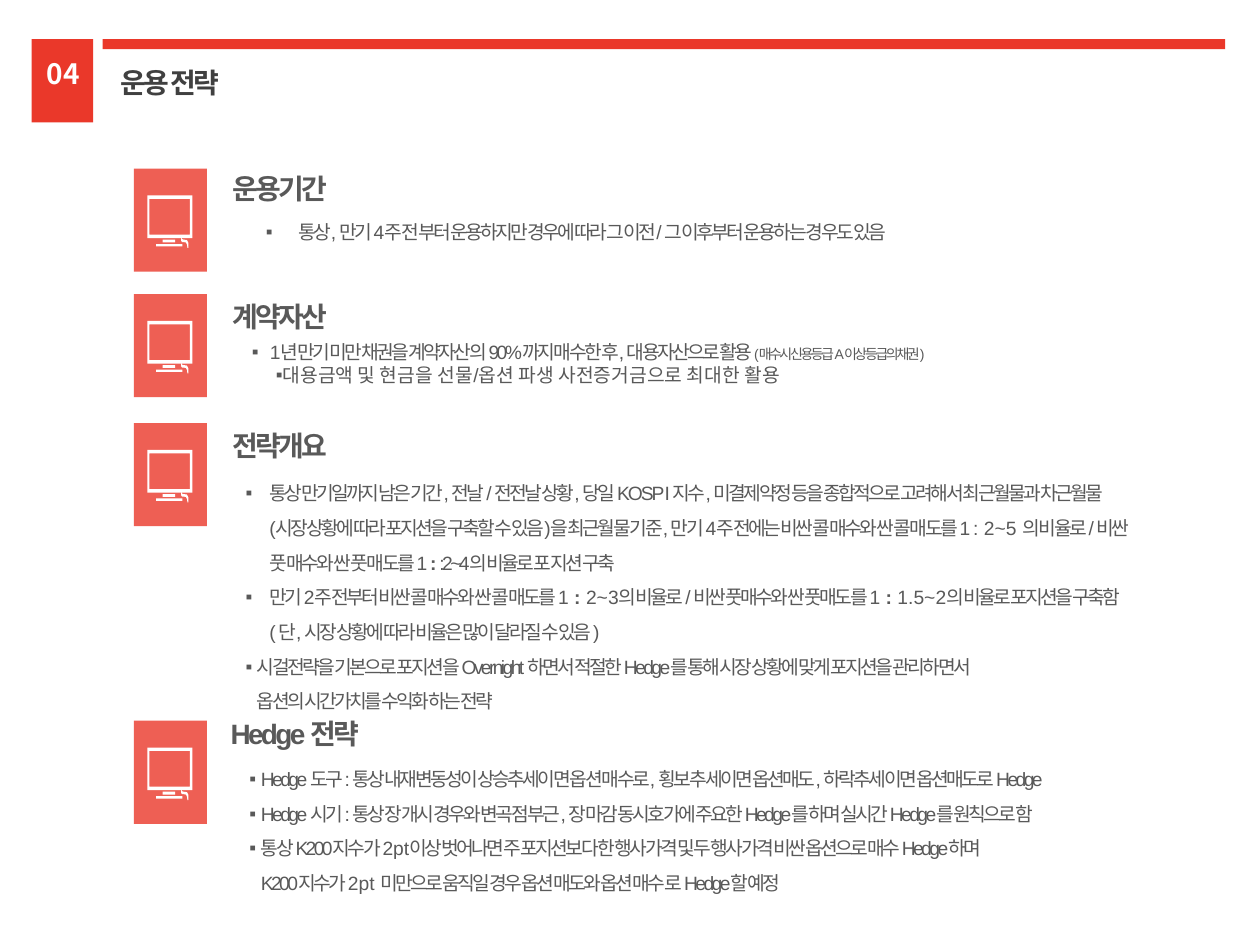
from lxml import etree
from pptx import Presentation
from pptx import util as u
from pptx.dml.color import RGBColor
from pptx.enum import shapes, text
from pptx.oxml.ns import qn

RED, TILE, WHITE, DARK, GRAY = "EA382A", "EE5F54", "FFFFFF", "404040", "595959"
KOREAN = "Noto Sans CJK KR"
CENTER = text.PP_ALIGN.CENTER


def paint(fill, color):
    fill.solid()
    fill.fore_color.rgb = RGBColor.from_string(color)


def write(frame, paragraphs, size=11, font="Arial", color=GRAY, bold=False,
          spacing=-1.5, align=text.PP_ALIGN.LEFT, line_spacing=1.0):
    """Each paragraph is (runs, margin, first-line indent, bulleted).

    A run is (text, overrides); "\n" stands for a line break.
    """
    frame.word_wrap = True
    frame.auto_size = text.MSO_AUTO_SIZE.NONE
    frame.vertical_anchor = text.MSO_ANCHOR.TOP
    for number, (runs, margin, indent, bulleted) in enumerate(paragraphs):
        paragraph = frame.add_paragraph() if number else frame.paragraphs[0]
        paragraph.alignment = align
        paragraph.line_spacing = line_spacing
        properties = paragraph._p.get_or_add_pPr()
        properties.set("marL", str(u.Cm(margin)))
        properties.set("indent", str(u.Cm(indent)))
        if bulleted:
            etree.SubElement(properties, qn("a:buFont"), typeface="Arial")
            etree.SubElement(properties, qn("a:buChar"), char="▪")
        for words, changes in runs:
            if words == "\n":
                paragraph.add_line_break()
                continue
            run = paragraph.add_run()
            run.text = words
            run.font.size = u.Pt(changes.get("size", size))
            run.font.bold = changes.get("bold", bold)
            run.font.name = font
            paint(run.font.fill, color)
            run_properties = run.font._element
            run_properties.set("spc", str(int(changes.get("spacing", spacing) * 100)))
            latin = run_properties.find(qn("a:latin"))
            latin.addnext(etree.Element(qn("a:ea"), typeface=KOREAN))


presentation = Presentation()
presentation.slide_width, presentation.slide_height = u.Cm(25.4), u.Cm(19.05)
slide = presentation.slides.add_slide(presentation.slide_layouts[5])

# Header: number block, bar and title
for box in ((0.64, 0.79, 1.24, 1.68), (2.07, 0.79, 22.63, 0.2)):
    block = slide.shapes.add_shape(shapes.MSO_SHAPE.RECTANGLE, *map(u.Cm, box))
    block.shadow.inherit = False
    paint(block.fill, RED)
    block.line.fill.background()

title = slide.shapes.title
title.left, title.top, title.width, title.height = map(u.Cm, (2.18, 1.19, 9.83, 0.94))
write(title.text_frame, [([("운용 전략", {})], 0, 0, False)],
      size=16, font=KOREAN, color=DARK, bold=True)

number_box = slide.shapes.add_textbox(*map(u.Cm, (0.38, 1.02, 1.8, 0.94)))
write(number_box.text_frame, [([("04", {})], 0, 0, False)],
      size=16, font=KOREAN, color=WHITE, bold=True, spacing=0, align=CENTER)

# Monitor outline with its cable, and the screen opening, in 0.01 cm from the tile corner
MONITOR = [(118, 140), (118, 54), (27, 54), (27, 140), (95, 140), (95, 145), (97, 148),
           (100, 148), (105, 149), (107, 153), (108, 160), (110, 160), (110, 150),
           (107, 144), (100, 143), (97, 142), (96, 140)]
SCREEN = [(31, 61), (113, 61), (113, 133), (31, 133)]

# Section contents
wide, strong = {"spacing": 0}, {"spacing": 0, "bold": True}
period = [([("통상, 만기 4주 전 부터 운용하지만 경우에 따라 그 이전/ 그 이후부터 운용하는 경우도 있음", {})],
           0.65, -0.65, True)]
assets = [
    ([("1년 만기 미만 채권을 계약자산의 90%까지 매수한 후, 대용자산으로 활용 ", {}),
      ("(매수시 신용등급 A이상 등급의 채권)", {"size": 8})], 0.36, -0.36, True),
    ([("대용금액 및 현금을 선물/옵션 파생 사전증거금으로 최대한 활용", wide)], 0, 0.48, True),
]
overview = [
    ([("통상 만기일까지 남은 기간, 전날 / 전전날 상황, 당일 ", {}),
      ("KOSP", {"spacing": -1.2}),
      ("I 지수, 미결제약정 등을 종합적으로 고려해서 최근월물과 차근월물", {}), ("\n", {}),
      ("(시장상황에 따라 포지션을 구축할 수 있음)을 최근월물 기준, 만기 4주 전에는 "
       "비싼 콜 매수와 싼 콜 매도를 1 ", {}),
      (": 2~5 ", wide), ("의 비율로 / 비싼", {}), ("\n", {}),
      ("풋 매수와 싼 풋 매도를 1 ", {}), (":", strong),
      (" :2~4의 비율로 포 지션 구축", {})], 0.48, -0.48, True),
    ([("만기 2주 전부터 비싼 콜 매수와 싼 콜 매도를 ", {}),
      ("1 ", wide), (":", strong), (" 2~3", wide),
      ("의 비율로 / 비싼 풋매수와 싼 풋매도를 ", {}),
      ("1 ", wide), (":", strong), (" 1.5~2", wide),
      ("의 비율로 포지션을 구축함", {}), ("\n", {}),
      ("( 단, 시장 상황에 따라 비율은 많이 달라질 수 있음 )", {})], 0.48, -0.48, True),
    ([("시걸전략을 기본으로 포지션을 Overnight 하면서 적절한 Hedge를 통해 시장 상황에 맞게 "
       "포지션을 관리하면서", {})], 0.23, -0.23, True),
    ([("옵션의 시간가치를 수익화 하는 전략", {})], 0.23, 0, False),
]
hedge = [
    ([("Hedge 도구 : 통상 내재변동성이 상승추세이면 옵션 매수로, 횡보 추세이면 옵션매도, "
       "하락추세이면 옵션매도로 Hedge", {})], 0.23, -0.23, True),
    ([("Hedge 시기 : 통상 장 개시 경우와 변곡점 부근, 장 마감 동시호가에 주요한 Hedge를 하며 "
       "실시간 Hedge를 원칙으로 함", {})], 0.23, -0.23, True),
    ([("통상 K200지수가 ", {}), ("2pt", wide),
      ("이상 벗어나면 주 포지션보다 한 행사가격 및 두 행사가격 비싼 옵션으로 매수 Hedge하며", {})],
     0.23, -0.23, True),
    ([("K200지수가 ", {}), ("2pt ", wide),
      ("미만으로 움직일 경우 옵션 매도와 옵션 매수 로 Hedge할 예정", {})], 0.23, 0, False),
]

# Tile top, heading, heading left and top, body, body box, body format
sections = [
    (3.4, "운용기간", 3.45, 3.33, period, (2.9, 4.32, 17.42, 0.74), {"align": CENTER}),
    (5.93, "계약자산", 3.45, 5.92, assets, (4.83, 6.73, 18.06, 1.68), {}),
    (8.53, "전략개요", 3.45, 8.51, overview, (4.7, 9.35, 20.24, 5.18), {"line_spacing": 1.5}),
    (14.53, "Hedge 전략", 3.76, 14.33, hedge, (4.78, 15.11, 20.5, 3.07), {"line_spacing": 1.5}),
]
tile_left = 2.7
for tile_top, heading, heading_left, heading_top, body, body_box, body_format in sections:
    # Icon: tile, monitor, stand neck and foot
    icon = slide.shapes.add_group_shape()
    for left, top, width, height, color in ((0, 0, 1.47, 2.08, TILE),
                                            (0.58, 1.43, 0.25, 0.06, WHITE),
                                            (0.45, 1.52, 0.53, 0.05, WHITE)):
        part = icon.shapes.add_shape(
            shapes.MSO_SHAPE.RECTANGLE, u.Cm(tile_left + left), u.Cm(tile_top + top),
            u.Cm(width), u.Cm(height))
        part.shadow.inherit = False
        paint(part.fill, color)
        part.line.fill.background()
    builder = icon.shapes.build_freeform(*MONITOR[0], scale=u.Cm(0.01))
    builder.add_line_segments(MONITOR[1:])
    builder.move_to(*SCREEN[0])
    builder.add_line_segments(SCREEN[1:])
    monitor = builder.convert_to_shape(u.Cm(tile_left), u.Cm(tile_top))
    monitor.shadow.inherit = False
    paint(monitor.fill, WHITE)
    monitor.line.fill.background()

    # Heading and body
    heading_box = slide.shapes.add_textbox(
        *map(u.Cm, (heading_left, heading_top, 4.37, 0.94)))
    write(heading_box.text_frame, [([(heading, {})], 0, 0, False)],
          size=16, bold=True, align=CENTER)
    body_shape = slide.shapes.add_textbox(*map(u.Cm, body_box))
    write(body_shape.text_frame, body, **body_format)

presentation.save("out.pptx")
